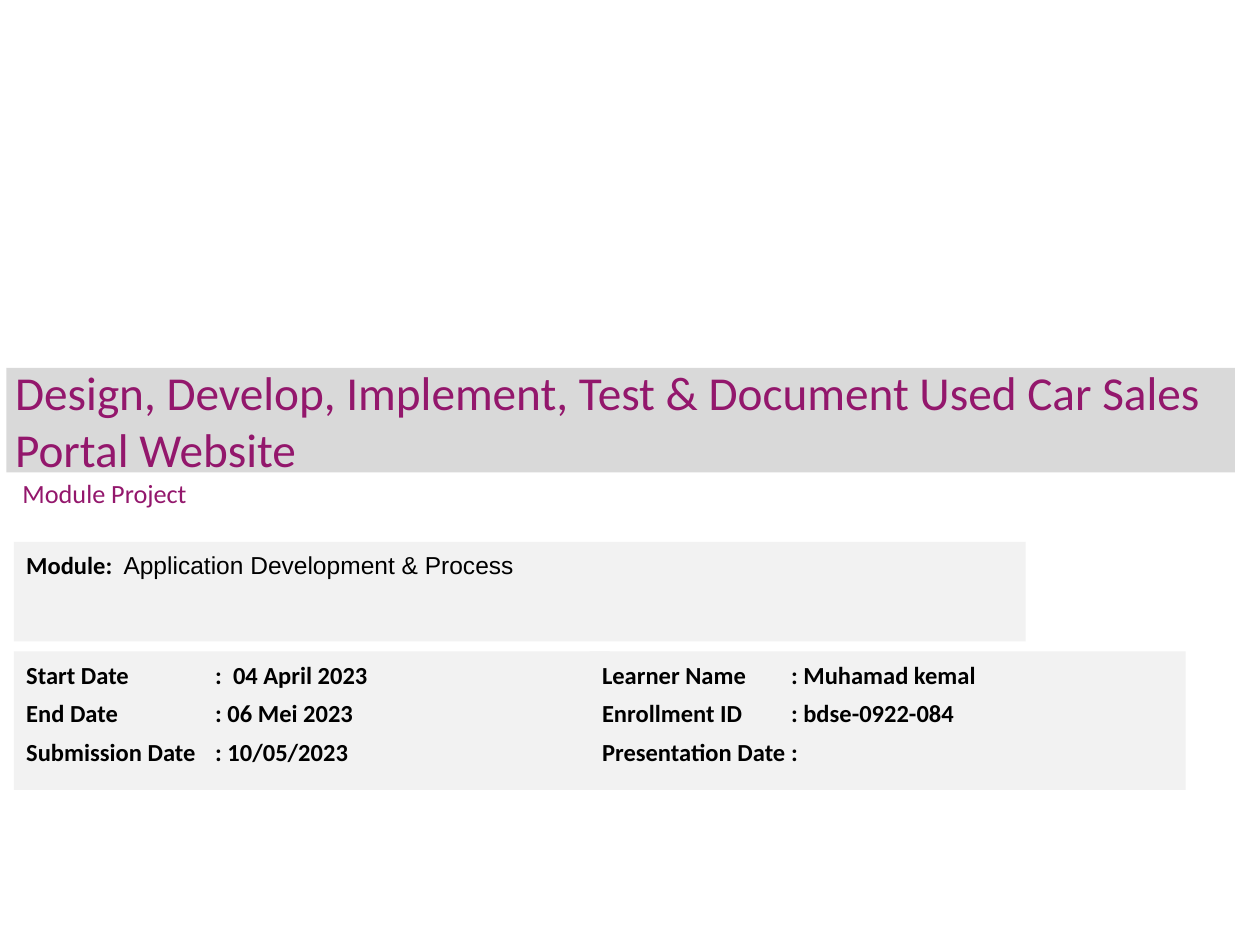
from pptx import Presentation
from pptx.dml.color import RGBColor
from pptx.enum.shapes import MSO_SHAPE
from pptx.enum.text import MSO_ANCHOR, MSO_AUTO_SIZE, PP_ALIGN
from pptx.oxml.ns import qn
from pptx.util import Inches, Pt
from lxml import etree

LEFT = PP_ALIGN.LEFT
TOP, MIDDLE = MSO_ANCHOR.TOP, MSO_ANCHOR.MIDDLE
RECTANGLE = MSO_SHAPE.RECTANGLE
FIXED = MSO_AUTO_SIZE.NONE
TITLE_ONLY = 5

WIDTH, HEIGHT = 10, 7.5
PURPLE, BLACK = "93176C", "000000"
BAND_GREY, PANEL_GREY = "D9D9D9", "F2F2F2"
MARGIN = 0.11
PANEL_WIDTH, PANEL_HEIGHT, PANEL_TOP = 4.73, 1.1, 5.17
COLUMN_STEP = 4.57
COLON_STOP = 1.5

SCHEDULE = [
    ("Start Date", ":  04 April 2023"),
    ("End Date", ": 06 Mei 2023"),
    ("Submission Date", ": 10/05/2023"),
]
LEARNER = [
    ("Learner Name", ": Muhamad kemal"),
    ("Enrollment ID", ": bdse-0922-084"),
    ("Presentation Date", ":"),
]


def colour(value):
    return RGBColor.from_string(value)


def place(shape, box):
    shape.left, shape.top, shape.width, shape.height = map(Inches, box)


def paint(shape, fill):
    shape.fill.solid()
    shape.fill.fore_color.rgb = colour(fill)
    shape.line.fill.background()


def add_span(para, text, size, tint, font="Calibri", bold=False):
    span = para.add_run()
    span.text = text
    span.font.name = font
    span.font.size = Pt(size)
    span.font.bold = bold
    span.font.color.rgb = colour(tint)


def set_frame(shape, anchor):
    frame = shape.text_frame
    frame.word_wrap = True
    frame.auto_size = FIXED
    frame.vertical_anchor = anchor
    frame.paragraphs[0].alignment = LEFT
    return frame


def add_title(page, box):
    title = page.shapes.title
    place(title, box)
    paint(title, BAND_GREY)
    frame = set_frame(title, MIDDLE)
    frame.margin_left = frame.margin_right = Inches(0.07)
    frame.margin_top = frame.margin_bottom = Inches(0.04)
    add_span(frame.paragraphs[0],
             "Design, Develop, Implement, Test & Document Used Car Sales Portal Website",
             27, PURPLE)


def add_subtitle(page, box):
    label = page.shapes.add_textbox(*map(Inches, box))
    add_span(set_frame(label, MIDDLE).paragraphs[0], "Module Project", 15, PURPLE)


def add_panel(page, box):
    """Add a grey panel and return its text frame."""
    panel = page.shapes.add_shape(RECTANGLE, *map(Inches, box))
    panel.shadow.inherit = False
    paint(panel, PANEL_GREY)
    return set_frame(panel, TOP)


def space_lines(para):
    para.alignment = LEFT
    para.line_spacing = Pt(18)
    para.space_before = para.space_after = Pt(2)


def add_tab_stop(para, position):
    stops = etree.SubElement(para._p.get_or_add_pPr(), qn("a:tabLst"))
    etree.SubElement(stops, qn("a:tab"), pos=str(Inches(position)), algn="l")


def add_module_panel(page, box):
    para = add_panel(page, box).paragraphs[0]
    space_lines(para)
    add_span(para, "Module:  ", 14, BLACK, bold=True)
    add_span(para, "Application Development & Process", 14, BLACK, font="Arial")


def add_detail_panel(page, box, details):
    frame = add_panel(page, box)
    for index, (label, value) in enumerate(details):
        para = frame.add_paragraph() if index else frame.paragraphs[0]
        space_lines(para)
        add_tab_stop(para, COLON_STOP)
        add_span(para, f"{label}\t{value}", 14, BLACK, bold=True)


def main():
    deck = Presentation()
    deck.slide_width, deck.slide_height = Inches(WIDTH), Inches(HEIGHT)
    page = deck.slides.add_slide(deck.slide_layouts[TITLE_ONLY])

    add_title(page, (0.05, 2.92, 9.75, 0.83))
    add_subtitle(page, (0.08, 3.6, 6.42, 0.62))
    add_module_panel(page, (MARGIN, 4.3, 8.03, 0.79))
    for column, details in enumerate((SCHEDULE, LEARNER)):
        left = MARGIN + column * COLUMN_STEP
        add_detail_panel(page, (left, PANEL_TOP, PANEL_WIDTH, PANEL_HEIGHT), details)

    deck.save("out.pptx")


if __name__ == "__main__":
    main()
